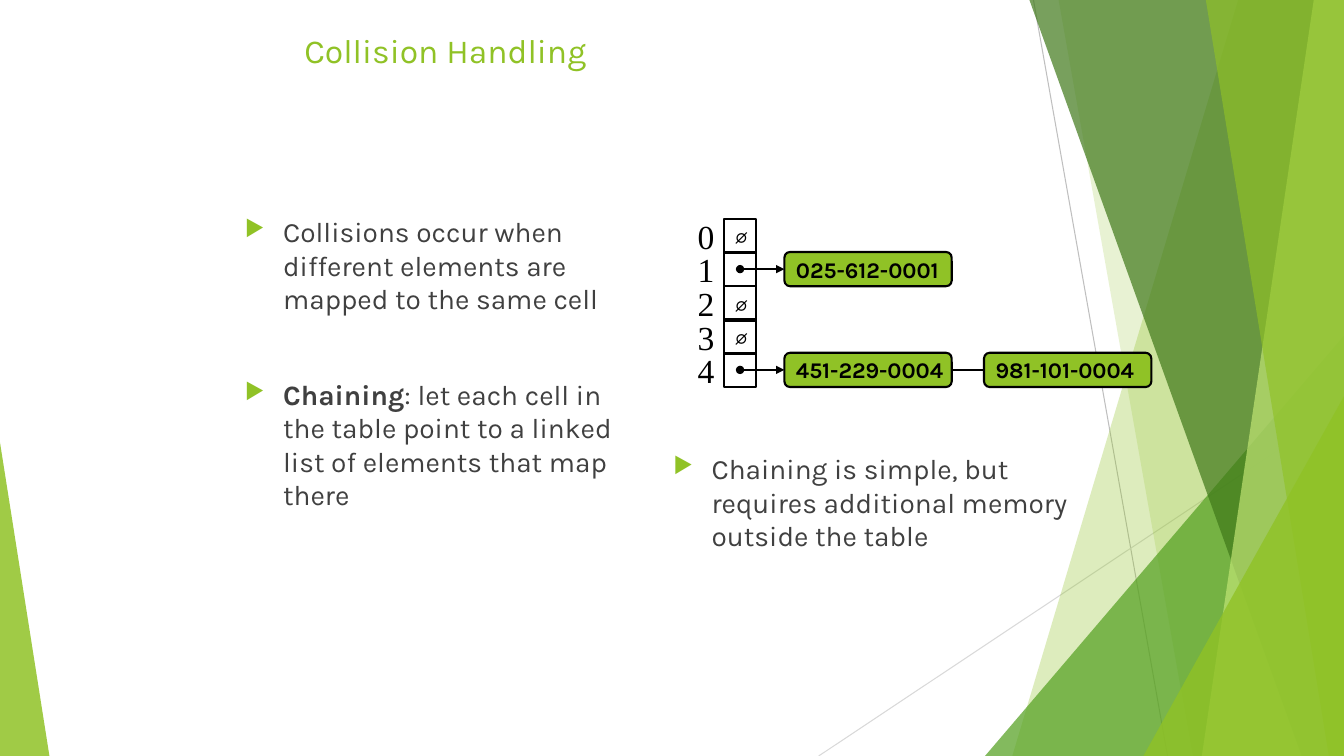
from lxml import etree
from pptx import Presentation
from pptx.dml.color import RGBColor
from pptx.enum.shapes import MSO_CONNECTOR, MSO_SHAPE
from pptx.enum.text import MSO_ANCHOR, PP_ALIGN
from pptx.oxml.ns import qn
from pptx.util import Pt

PX = 9144  # 100 px to the inch
WIDE, HIGH = 1333, 750
LINE = MSO_CONNECTOR.STRAIGHT
RECT, ROUND = MSO_SHAPE.RECTANGLE, MSO_SHAPE.ROUNDED_RECTANGLE
WEDGE = MSO_SHAPE.ISOSCELES_TRIANGLE
MIDDLE, LEFT = MSO_ANCHOR.MIDDLE, PP_ALIGN.LEFT
HEX = {
    "green": "90C226", "leaf": "54A021", "moss": "3F7819", "lime": "C0E474",
    "text": "404040", "black": "000000", "grey": "BFBFBF", "pale": "D9D9D9",
}
INK = {name: RGBColor.from_string(code) for name, code in HEX.items()}


def write(para, text, size, ink, bold=False, font="Karla"):
    para.alignment = LEFT
    run = para.add_run()
    run.text = text
    run.font.name, run.font.size, run.font.bold = font, Pt(size), bold
    run.font.color.rgb = INK[ink]


def wire(x1, y1, x2, y2, ink, width):
    """Add a straight line without a shadow."""
    line = shapes.add_connector(LINE, x1 * PX, y1 * PX, x2 * PX, y2 * PX)
    line.line.color.rgb = INK[ink]
    line.line.width = Pt(width)
    etree.SubElement(line._element.spPr, qn("a:effectLst"))
    return line


deck = Presentation()
deck.slide_width, deck.slide_height = WIDE * PX, HIGH * PX
shapes = deck.slides.add_slide(deck.slide_layouts[6]).shapes

# Backdrop
wire(1025, 0, 1158, HIGH, "grey", 0.75)
wire(WIDE, 403, 812, HIGH, "pale", 0.75)

# Panels reach the right edge: (top x, foot x).
# Wedges: (left, top, width, height, apex).
facets = [
    ("green", 30, (1228, 1004)),
    ("green", 20, (1050, 1183)),
    ("leaf", 72, (977, 333, 356, 417, 1)),
    ("moss", 70, (1021, 1291)),
    ("lime", 70, (1303, 1192)),
    ("green", 65, (1196, 1318)),
    ("green", 80, (1134, 393, 199, 357, 1)),
    ("green", 85, (0, 439, 49, 311, 0)),
]
for ink, alpha, form in facets:
    if len(form) == 2:
        top, foot = form
        path = shapes.build_freeform(top, 0, scale=PX)
        path.add_line_segments([(WIDE, 0), (WIDE, HIGH), (foot, HIGH)])
        facet = path.convert_to_shape()
    else:
        facet = shapes.add_shape(WEDGE, *[n * PX for n in form[:4]])
        facet.adjustments[0] = form[4]
    facet.shadow.inherit = False
    facet.line.fill.background()
    facet.fill.solid()
    facet.fill.fore_color.rgb = INK[ink]
    tint = facet._element.spPr.find(qn("a:solidFill"))[0]
    etree.SubElement(tint, qn("a:alpha"), val=str(alpha * 1000))

# Title and bullets
title = shapes.add_textbox(292 * PX, 25 * PX, 791 * PX, 100 * PX)
title.text_frame.word_wrap = True
write(title.text_frame.paragraphs[0], "Collision Handling", 24, "green")

bodies = [
    ((233, 208, 400, 450), [
        [("Collisions occur when different elements are mapped "
          "to the same cell", False)],
        [("Chaining", True),
         (": let each cell in the table point to a linked list "
          "of elements that map there", False)],
    ]),
    ((658, 443, 417, 215), [
        [("Chaining is simple, but requires additional memory "
          "outside the table", False)],
    ]),
]
for box, items in bodies:
    frame = shapes.add_textbox(*[n * PX for n in box]).text_frame
    frame.word_wrap = True
    for i, item in enumerate(items):
        para = frame.add_paragraph() if i else frame.paragraphs[0]
        if i:
            para.space_before = Pt(44)
        props = para._p.get_or_add_pPr()
        props.set("marL", str(38 * PX))
        props.set("indent", str(-38 * PX))
        hue = etree.SubElement(props, qn("a:buClr"))
        etree.SubElement(hue, qn("a:srgbClr"), val=HEX["green"])
        etree.SubElement(props, qn("a:buSzPct"), val="80000")
        etree.SubElement(props, qn("a:buChar"), char="▶")
        for text, bold in item:
            write(para, text, 20, "text", bold)

# Hash table with its chains
CELL, STEP = 34, 100 / 3
chains = [[], ["025-612-0001"], [], [], ["451-229-0004", "981-101-0004"]]
for i, chain in enumerate(chains):
    top = 217 + round(i * STEP)
    label = shapes.add_textbox(682 * PX, (top - 8) * PX, 37 * PX, 50 * PX)
    label.text_frame.word_wrap = False
    write(label.text_frame.paragraphs[0], str(i), 24, "black",
          font="Times New Roman")

    boxes = [(RECT, 718, 32, "" if chain else "∅", 18)]
    boxes += [(ROUND, 778 + 198 * k, 166, key, 16)
              for k, key in enumerate(chain)]
    nodes = []
    for kind, left, width, text, size in boxes:
        node = shapes.add_shape(kind, left * PX, top * PX, width * PX, CELL * PX)
        node.shadow.inherit = False
        node.line.color.rgb = INK["black"]
        node.line.width = Pt(1.5)
        if kind == ROUND:
            node.fill.solid()
            node.fill.fore_color.rgb = INK["green"]
        else:
            node.fill.background()
        if text:
            node.text_frame.word_wrap = False
            node.text_frame.vertical_anchor = MIDDLE
            write(node.text_frame.paragraphs[0], text, size, "black",
                  kind == ROUND)
        nodes.append(node)

    mid = top + CELL // 2
    for k in range(len(chain)):
        link = wire(734, mid, 778, mid, "black", 1.5)
        link.end_connect(nodes[k + 1], 1)
        if k:
            link.begin_connect(nodes[k], 3)
        else:
            ln = link.line._get_or_add_ln()
            etree.SubElement(ln, qn("a:headEnd"), type="oval")
            etree.SubElement(ln, qn("a:tailEnd"), type="triangle")

deck.save("out.pptx")
